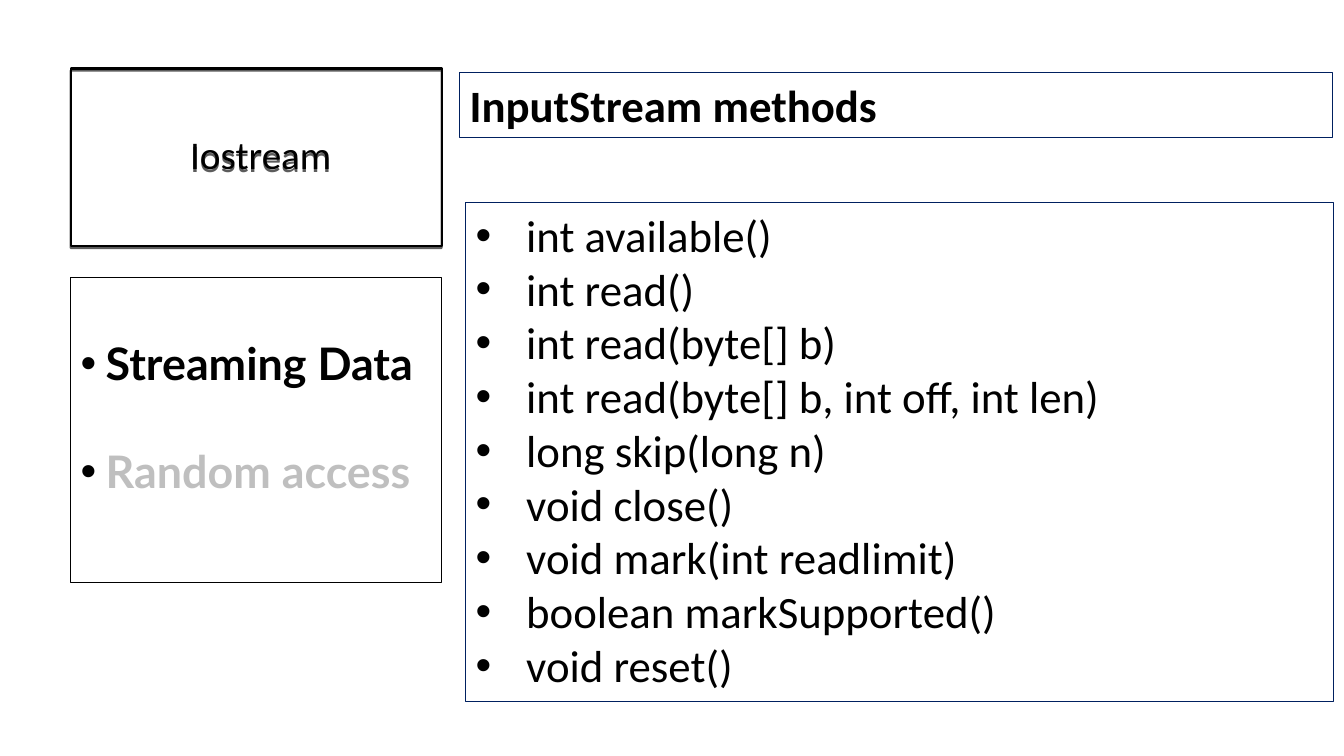
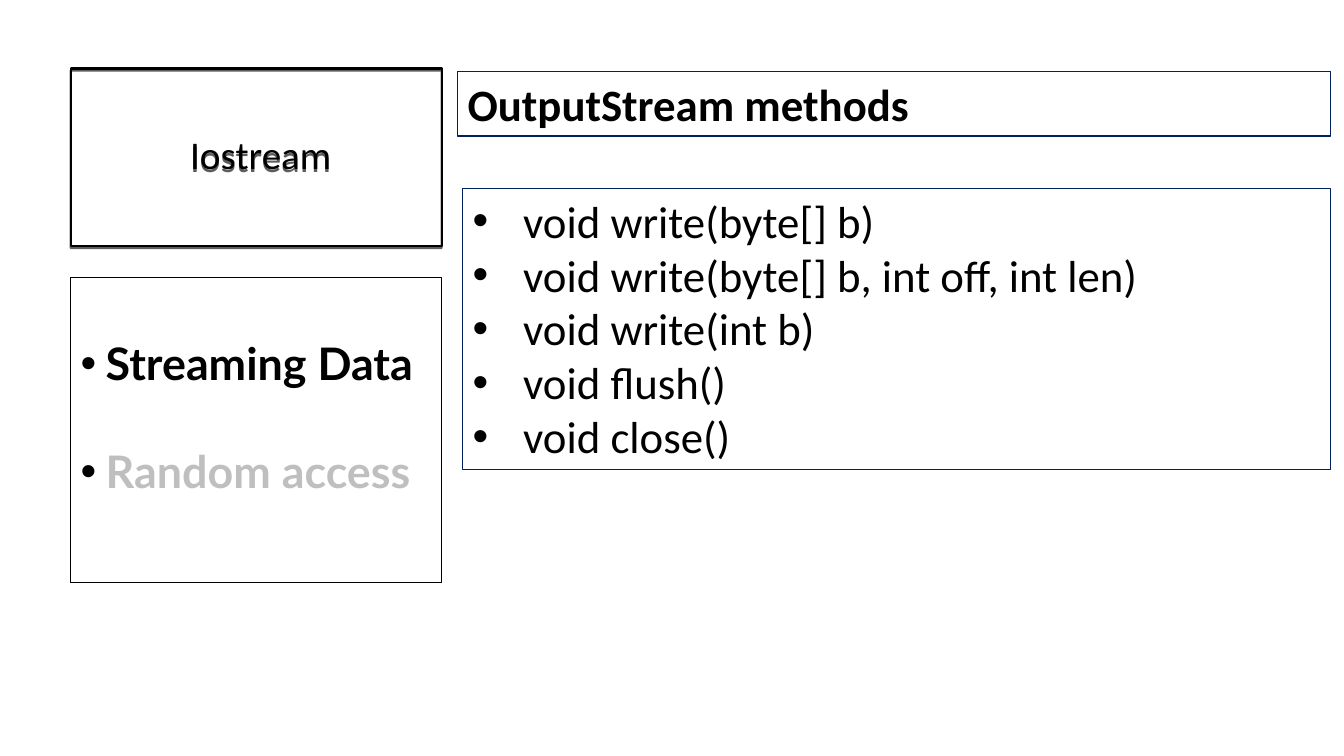
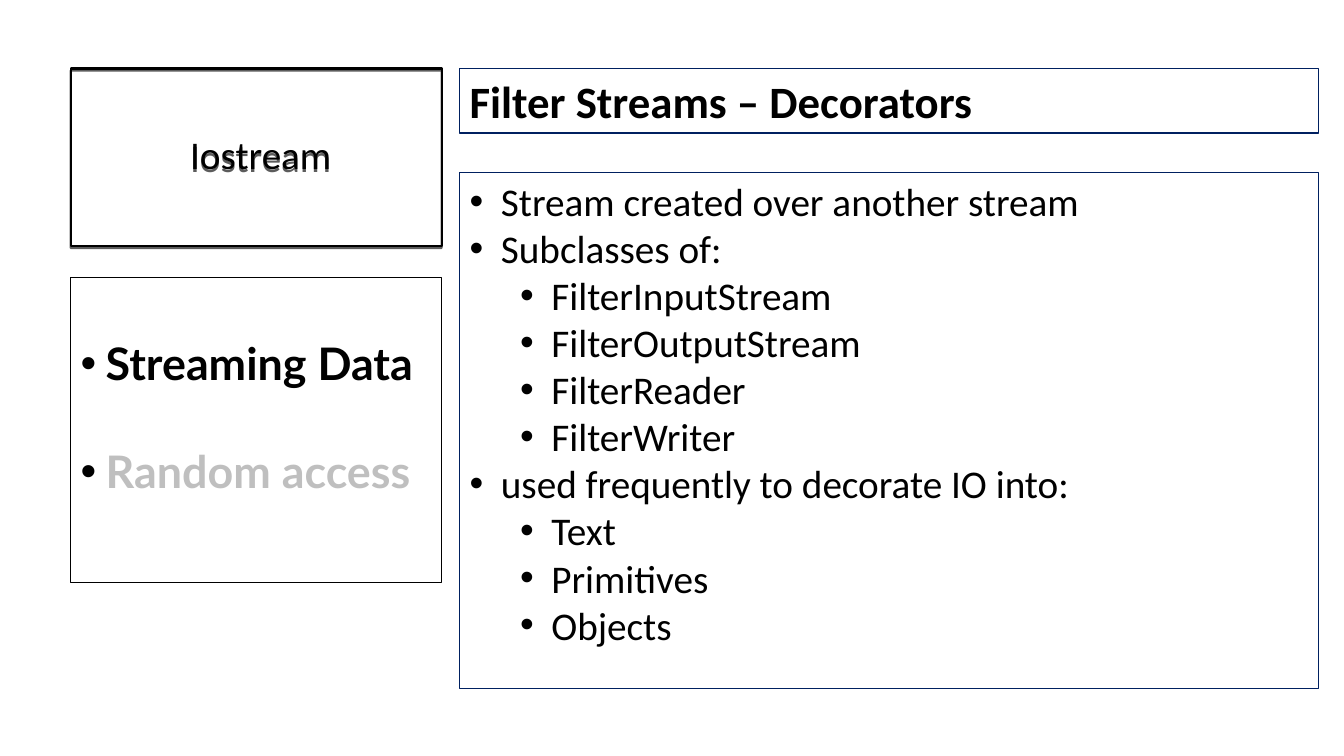
from lxml.etree import SubElement
from pptx import Presentation
from pptx.dml.color import RGBColor
from pptx.enum.shapes import MSO_SHAPE
from pptx.enum.text import MSO_ANCHOR, PP_ALIGN
from pptx.oxml.ns import qn
from pptx.util import Inches, Pt

BLACK = RGBColor(0x00, 0x00, 0x00)
NAVY = RGBColor(0x00, 0x20, 0x60)
GREY = RGBColor(0xBF, 0xBF, 0xBF)


def add_box(slide, at, edge, lines, size, face="Calibri", bold=False, weight=0.75):
    """Add an unfilled, outlined rectangle with one left-aligned paragraph per line."""
    box = slide.shapes.add_shape(MSO_SHAPE.RECTANGLE, *[Inches(n) for n in at])
    box.shadow.inherit = False
    box.fill.background()
    box.line.color.rgb = edge
    box.line.width = Pt(weight)
    frame = box.text_frame
    frame.word_wrap = True
    frame.vertical_anchor = MSO_ANCHOR.TOP
    frame.text = "\n".join(lines)
    for para in frame.paragraphs:
        para.alignment = PP_ALIGN.LEFT
        font = para.runs[0].font
        font.name = face
        font.size = Pt(size)
        font.bold = bold
        font.color.rgb = BLACK
    return box


def add_bullet(para, hang, level=0):
    props = para._p.get_or_add_pPr()
    props.set("marL", str(Inches(hang + level * 0.5)))
    props.set("indent", str(Inches(-hang)))
    para.level = level
    color = SubElement(props, qn("a:buClr"))
    SubElement(color, qn("a:srgbClr"), val=str(BLACK))
    SubElement(props, qn("a:buFont"), typeface="Arial")
    SubElement(props, qn("a:buChar"), char="•")


# Heading, heading place, list place, text size, hanging indent, (level, line) pairs
PAGES = [
    ("InputStream methods", (4.56, 0.72, 8.66, 0.64), (4.62, 2.01, 8.61, 4.95), 32, 0.5, [
        (0, "int available()"),
        (0, "int read()"),
        (0, "int read(byte[] b)"),
        (0, "int read(byte[] b, int off, int len)"),
        (0, "long skip(long n)"),
        (0, "void close()"),
        (0, "void mark(int readlimit)"),
        (0, "boolean markSupported()"),
        (0, "void reset()"),
    ]),
    ("OutputStream methods", (4.54, 0.71, 8.66, 0.64), (4.59, 1.87, 8.61, 2.79), 32, 0.5, [
        (0, "void write(byte[] b)"),
        (0, "void write(byte[] b, int off, int len)"),
        (0, "void write(int b)"),
        (0, "void flush()"),
        (0, "void close()"),
    ]),
    ("Filter Streams – Decorators", (4.56, 0.68, 8.52, 0.64), (4.56, 1.71, 8.52, 5.12), 28, 0.31, [
        (0, "Stream created over another stream"),
        (0, "Subclasses of:"),
        (1, "FilterInputStream"),
        (1, "FilterOutputStream"),
        (1, "FilterReader"),
        (1, "FilterWriter"),
        (0, "used frequently to decorate IO into:"),
        (1, "Text"),
        (1, "Primitives"),
        (1, "Objects"),
    ]),
]

deck = Presentation()
deck.slide_width = Inches(13.33)
deck.slide_height = Inches(7.5)

for heading, head_at, list_at, size, hang, items in PAGES:
    slide = deck.slides.add_slide(deck.slide_layouts[6])

    # Topic box with a hard drop shadow
    topic = add_box(slide, (0.7, 0.68, 3.68, 1.76), BLACK, ["Iostream"], 28, weight=1.5)
    topic.text_frame.vertical_anchor = MSO_ANCHOR.MIDDLE
    topic.text_frame.margin_left = Inches(0.19)
    topic.text_frame.paragraphs[0].alignment = PP_ALIGN.CENTER
    topic.text_frame.paragraphs[0].line_spacing = 0.9
    effects = topic._element.spPr.find(qn("a:effectLst"))
    shadow = SubElement(effects, qn("a:outerShdw"), dist=str(Pt(1.5)), dir="5400000", rotWithShape="0")
    tint = SubElement(shadow, qn("a:srgbClr"), val=str(BLACK))
    SubElement(tint, qn("a:alpha"), val="63000")

    # Agenda with the current section in black
    agenda = add_box(slide, (0.7, 2.75, 3.68, 3.03), BLACK,
                     ["Streaming Data", "Random access"], 32, "Lato", True)
    agenda.text_frame.vertical_anchor = MSO_ANCHOR.MIDDLE
    agenda.text_frame.margin_bottom = Inches(0.31)
    for para in agenda.text_frame.paragraphs:
        add_bullet(para, 0.25)
    para.space_before = Pt(38.4)
    para.runs[0].font.color.rgb = GREY

    add_box(slide, head_at, NAVY, [heading], 32, bold=True)
    body = add_box(slide, list_at, NAVY, [line for level, line in items], size)
    for para, (level, line) in zip(body.text_frame.paragraphs, items):
        add_bullet(para, hang, level)

deck.save("out.pptx")
